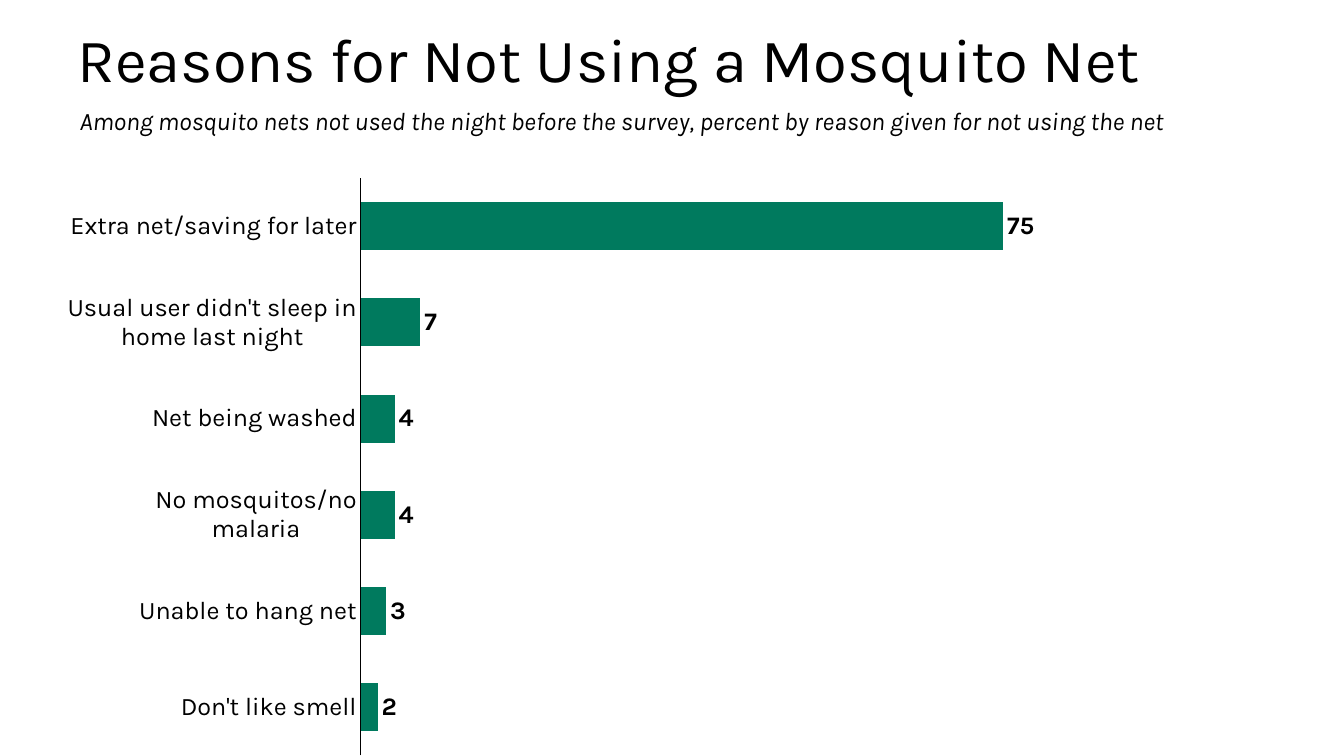
"""Build the slide on reasons for not using a mosquito net."""
import dataclasses

import pptx
import pptx.chart.data
import pptx.dml.color
import pptx.enum.chart
import pptx.enum.text
import pptx.oxml
import pptx.oxml.ns
import pptx.util

FONT = "Karla"
BLACK = "000000"
GREEN = "007A5E"
LEFT, WIDTH = 0.67, 11.98
REASONS = {
    "Don't like smell": 2,
    "Unable to hang net": 3,
    "No mosquitos/no malaria": 4,
    "Net being washed": 4,
    "Usual user didn't sleep in home last night": 7,
    "Extra net/saving for later": 75,
}
PLOT = {"x": 0.241, "y": 0, "w": 0.711, "h": 1}


@dataclasses.dataclass
class Heading:
    text: str
    left: float
    top: float
    height: float
    frame: dict
    paragraph: dict
    font: dict


HEADINGS = [
    Heading("Reasons for Not Using a Mosquito Net", LEFT, 0.2, 0.84,
            {"vertical_anchor": pptx.enum.text.MSO_ANCHOR.MIDDLE},
            {"line_spacing": 0.9}, {"size": pptx.util.Pt(44)}),
    Heading("Among mosquito nets not used the night before the survey, "
            "percent by reason given for not using the net", 0.69, 1, 0.4,
            {"auto_size": pptx.enum.text.MSO_AUTO_SIZE.SHAPE_TO_FIT_TEXT},
            {}, {"size": pptx.util.Pt(18), "italic": True}),
]


def rgb(color: str) -> pptx.dml.color.RGBColor:
    return pptx.dml.color.RGBColor.from_string(color)


def set_format(target, values: dict) -> None:
    for name, value in values.items():
        setattr(target, name, value)


def set_font(font, values: dict) -> None:
    set_format(font, {"name": FONT, **values})
    font.color.rgb = rgb(BLACK)


def add_heading(s, heading: Heading) -> None:
    sp = s.shapes.add_textbox(*map(pptx.util.Inches, (
        heading.left, heading.top, WIDTH, heading.height)))
    tf = sp.text_frame
    set_format(tf, {"word_wrap": True, **heading.frame})
    p = tf.paragraphs[0]
    set_format(p, heading.paragraph)
    r = p.add_run()
    r.text = heading.text
    set_font(r.font, heading.font)


def place_plot(chart) -> None:
    area = chart._chartSpace.chart.plotArea
    for old in area.findall(pptx.oxml.ns.qn("c:layout")):
        area.remove(old)
    modes = '<c:layoutTarget val="inner"/><c:xMode val="edge"/><c:yMode val="edge"/>'
    sizes = "".join(f'<c:{k} val="{v}"/>' for k, v in PLOT.items())
    area.insert(0, pptx.oxml.parse_xml(
        f'<c:layout {pptx.oxml.ns.nsdecls("c")}><c:manualLayout>'
        f"{modes}{sizes}</c:manualLayout></c:layout>"))


def add_reason_chart(s) -> None:
    data = pptx.chart.data.CategoryChartData()
    data.categories = list(REASONS)
    data.add_series("Series 1", list(REASONS.values()))
    chart = s.shapes.add_chart(
        pptx.enum.chart.XL_CHART_TYPE.BAR_CLUSTERED,
        *map(pptx.util.Inches, (LEFT, 1.76, WIDTH, 5.74)), data).chart
    set_format(chart, {"has_legend": False, "has_title": False})
    set_font(chart.font, {"size": pptx.util.Pt(10)})
    place_plot(chart)

    no_tick = pptx.enum.chart.XL_TICK_MARK.NONE
    axis = chart.category_axis
    set_format(axis, {"major_tick_mark": no_tick, "minor_tick_mark": no_tick,
                      "has_major_gridlines": False})
    axis.format.line.color.rgb = rgb(BLACK)
    axis.format.line.width = pptx.util.Pt(0.75)
    set_font(axis.tick_labels.font, {"size": pptx.util.Pt(18)})
    set_format(chart.value_axis, {"visible": False, "has_major_gridlines": False,
                                  "minimum_scale": 0, "maximum_scale": 100})

    plot = chart.plots[0]
    set_format(plot, {"gap_width": 100, "vary_by_categories": False})
    bars = plot.series[0]
    bars.format.fill.solid()
    bars.format.fill.fore_color.rgb = rgb(GREEN)
    labels = bars.data_labels
    set_format(labels, {"show_value": True, "position":
                        pptx.enum.chart.XL_LABEL_POSITION.OUTSIDE_END})
    set_font(labels.font, {"size": pptx.util.Pt(18), "bold": True})


def main() -> None:
    prs = pptx.Presentation()
    set_format(prs, {"slide_width": pptx.util.Inches(13.33),
                     "slide_height": pptx.util.Inches(7.5)})
    s = prs.slides.add_slide(prs.slide_layouts[6])
    add_reason_chart(s)
    for heading in HEADINGS:
        add_heading(s, heading)
    prs.save("out.pptx")


if __name__ == "__main__":
    main()
